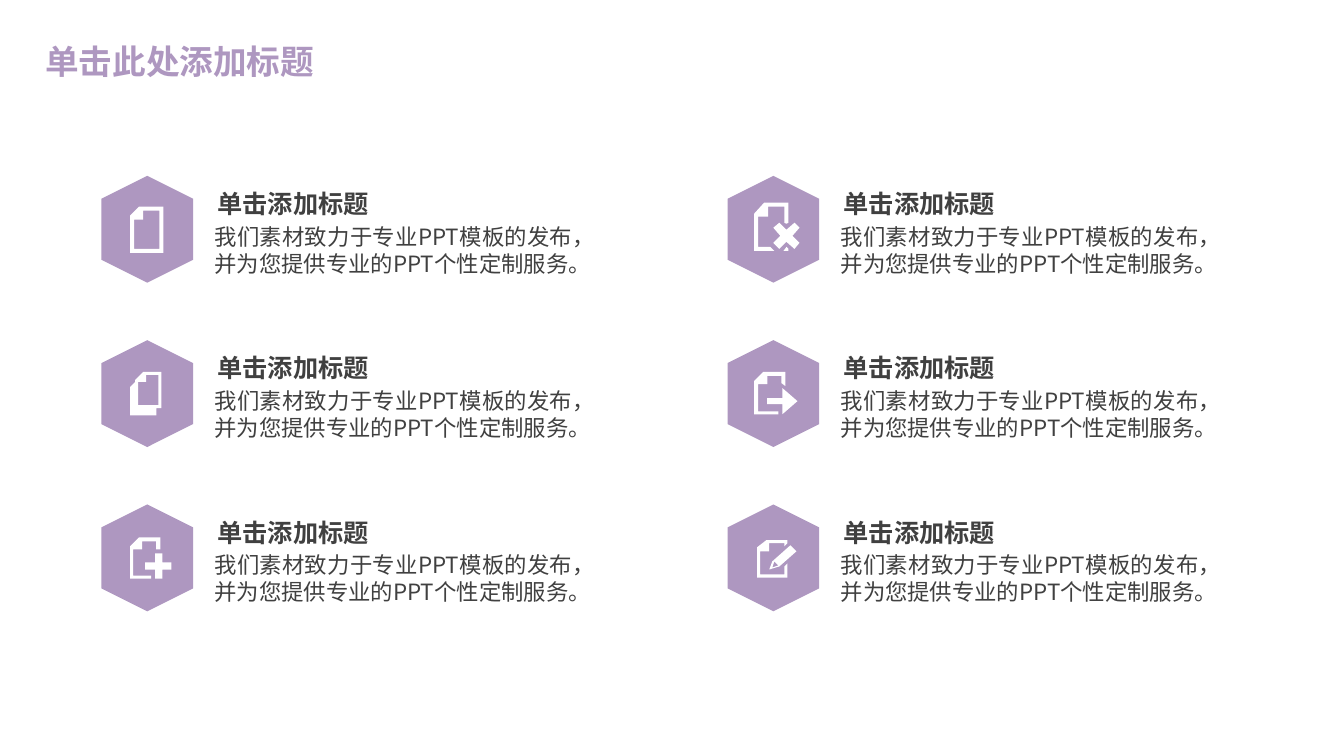
from itertools import product

from pptx import Presentation
from pptx.dml.color import RGBColor
from pptx.enum.lang import MSO_LANGUAGE_ID
from pptx.enum.shapes import MSO_SHAPE
from pptx.enum.text import PP_ALIGN
from pptx.oxml.ns import qn
from pptx.util import Inches, Pt

PURPLE = RGBColor(0xAE, 0x97, 0xC0)
DARK_GREY = RGBColor(0x40, 0x40, 0x40)
WHITE = RGBColor(0xFF, 0xFF, 0xFF)
FONT = "Noto Sans CJK SC"

PAGE_TITLE = "单击此处添加标题"
ITEM_TITLE = "单击添加标题"
ITEM_BODY = "我们素材致力于专业PPT模板的发布，并为您提供专业的PPT个性定制服务。"

FIRST_LEFT, FIRST_TOP = 0.93, 1.82
COLUMN_STEP, ROW_STEP = 6.21, 1.63

# Each icon is a list of shapes, each shape a list of closed outlines,
# with points in hundredths of an inch on the slide.
BLANK_PAGE = [
    [
        [(162, 205), (162, 251), (129, 251), (129, 214), (138, 205)],
        [(158, 209), (142, 209), (142, 218), (133, 218), (133, 247), (158, 247)],
    ],
]
STACKED_PAGES = [
    [[(134, 387), (132, 387), (132, 409), (152, 409), (152, 405), (134, 405)]],
    [
        [(160, 369), (142, 369), (134, 377), (134, 379), (129, 384),
         (129, 412), (155, 412), (155, 405), (160, 405)],
        [(152, 409), (132, 409), (132, 387), (134, 387), (134, 405), (152, 405)],
        [(157, 402), (137, 402), (137, 379), (145, 379), (145, 372), (157, 372)],
    ],
]
PAGE_WITH_PLUS = [
    [[(150, 571), (132, 571), (132, 545), (141, 545), (141, 537), (155, 537),
      (155, 545), (159, 545), (159, 533), (138, 533), (129, 542), (129, 574),
      (150, 574)]],
    [[(161, 549), (154, 549), (154, 558), (144, 558), (144, 565), (154, 565),
      (154, 574), (161, 574), (161, 565), (170, 565), (170, 558), (161, 558)]],
]
PAGE_WITH_CROSS = [
    [[(777, 249), (782, 249), (782, 247), (780, 245)]],
    [[(752, 245), (752, 215), (762, 215), (762, 205), (778, 205), (778, 221),
      (780, 222), (782, 221), (782, 201), (758, 201), (748, 212), (748, 249),
      (768, 249), (764, 245)]],
    [[(788, 247), (793, 241), (786, 234), (793, 226), (788, 221), (780, 228),
      (773, 221), (767, 226), (774, 234), (767, 241), (773, 247), (780, 240)]],
]
PAGE_WITH_ARROW = [
    [[(752, 408), (752, 381), (761, 381), (761, 373), (775, 373), (775, 380),
      (779, 383), (779, 369), (757, 369), (748, 378), (748, 411), (772, 411),
      (772, 408)]],
    [[(776, 385), (776, 395), (761, 395), (761, 401), (776, 401), (776, 411),
      (791, 398)]],
]
PAGE_WITH_PENCIL = [
    [[(778, 570), (754, 570), (754, 547), (763, 547), (763, 539), (778, 539),
      (778, 542), (781, 539), (781, 536), (760, 536), (751, 543), (751, 573),
      (781, 573), (781, 559), (778, 562)]],
    [
        [(766, 557), (763, 565), (773, 562), (790, 547), (784, 541)],
        [(772, 561), (766, 563), (768, 557)],
    ],
]
ICONS = [
    BLANK_PAGE, STACKED_PAGES, PAGE_WITH_PLUS,
    PAGE_WITH_CROSS, PAGE_WITH_ARROW, PAGE_WITH_PENCIL,
]


def paint(shape, color):
    shape.shadow.inherit = False
    shape.fill.solid()
    shape.fill.fore_color.rgb = color
    shape.line.fill.background()


def add_text(slide, text, left, top, width, height, size, color,
             bold=False, alignment=PP_ALIGN.LEFT):
    box = slide.shapes.add_textbox(
        Inches(left), Inches(top), Inches(width), Inches(height))
    text_frame = box.text_frame
    text_frame.word_wrap = True
    text_frame.margin_top = Inches(0.07)
    text_frame.margin_bottom = Inches(0.03)
    text_frame.text = text
    paragraph = text_frame.paragraphs[0]
    paragraph.alignment = alignment
    paragraph.line_spacing = Pt(size * 1.2)
    font = paragraph.runs[0].font
    font.name = FONT
    font.size = Pt(size)
    font.bold = bold
    font.color.rgb = color
    font.language_id = MSO_LANGUAGE_ID.SIMPLIFIED_CHINESE
    east_asian = font._element.makeelement(qn("a:ea"), {"typeface": FONT})
    font._element.find(qn("a:latin")).addnext(east_asian)


def add_hexagon(slide, left, top):
    hexagon = slide.shapes.add_shape(
        MSO_SHAPE.HEXAGON, Inches(left), Inches(top), Inches(1.06), Inches(0.91))
    hexagon.rotation = 90
    paint(hexagon, PURPLE)


def add_outlines(slide, outlines):
    """Draw one white shape; inner outlines become holes."""
    first, *others = outlines
    builder = slide.shapes.build_freeform(*first[0], scale=Inches(0.01))
    builder.add_line_segments(first[1:], close=True)
    for outline in others:
        builder.move_to(*outline[0])
        builder.add_line_segments(outline[1:], close=True)
    paint(builder.convert_to_shape(), WHITE)


def add_item(slide, left, top, icon):
    add_hexagon(slide, left, top)
    add_text(slide, ITEM_TITLE, left + 1.13, top - 0.02, 2.04, 0.4,
             18, DARK_GREY, bold=True)
    add_text(slide, ITEM_BODY, left + 1.1, top + 0.32, 3.97, 0.64,
             16, DARK_GREY, alignment=PP_ALIGN.JUSTIFY)
    for outlines in icon:
        add_outlines(slide, outlines)


def main():
    presentation = Presentation()
    presentation.slide_width = Inches(13.33)
    presentation.slide_height = Inches(7.5)
    slide = presentation.slides.add_slide(presentation.slide_layouts[6])
    add_text(slide, PAGE_TITLE, 0.35, 0.34, 3.05, 0.5, 24, PURPLE, bold=True)
    for (column, row), icon in zip(product(range(2), range(3)), ICONS):
        add_item(slide, FIRST_LEFT + column * COLUMN_STEP,
                 FIRST_TOP + row * ROW_STEP, icon)
    presentation.save("out.pptx")


if __name__ == "__main__":
    main()
